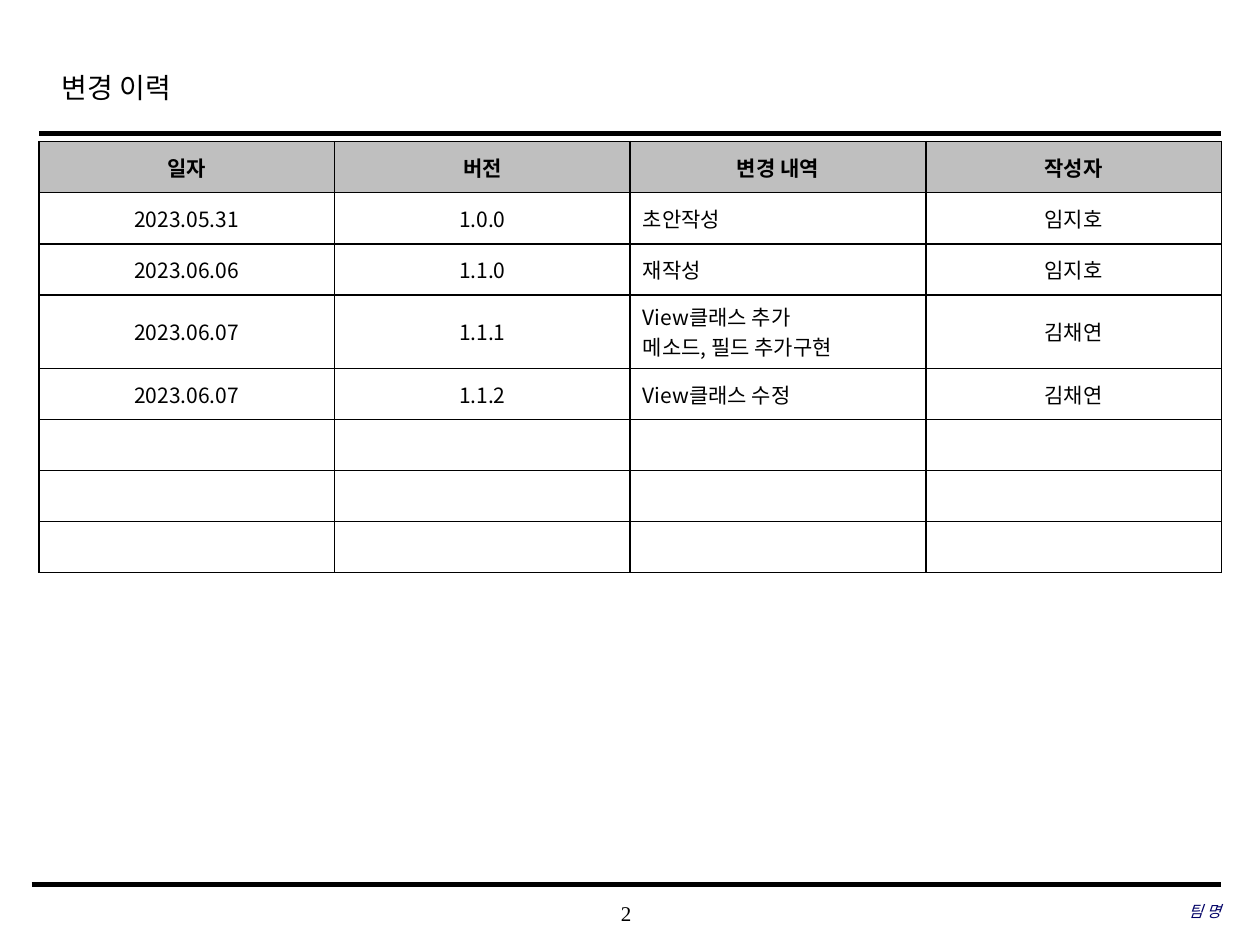
from lxml import etree
from pptx import Presentation
from pptx.dml.color import RGBColor
from pptx.enum.shapes import MSO_CONNECTOR
from pptx.enum.text import MSO_ANCHOR, MSO_AUTO_SIZE, PP_ALIGN
from pptx.oxml.ns import qn
from pptx.util import Pt

LEFT, CENTER, RIGHT = PP_ALIGN.LEFT, PP_ALIGN.CENTER, PP_ALIGN.RIGHT
TOP, MIDDLE = MSO_ANCHOR.TOP, MSO_ANCHOR.MIDDLE
NO_FIT = MSO_AUTO_SIZE.NONE
STRAIGHT = MSO_CONNECTOR.STRAIGHT

# Content
TITLE = "변경 이력"
PAGE_NUMBER = "2"
TEAM = "팀 명"
HEADINGS = ["일자", "버전", "변경 내역", "작성자"]
REVISIONS = [
    ["2023.05.31", "1.0.0", "초안작성", "임지호"],
    ["2023.06.06", "1.1.0", "재작성", "임지호"],
    ["2023.06.07", "1.1.1", "View클래스 추가\n메소드, 필드 추가구현", "김채연"],
    ["2023.06.07", "1.1.2", "View클래스 수정", "김채연"],
]
EMPTY_ROWS = 3
CHANGES_COLUMN = 2

THEME = {
    "ink": "000000", "accent": "000066", "heading_fill": "BFBFBF", "cell_fill": "FFFFFF",
    "serif": "Times New Roman", "sans": "Noto Sans CJK KR",
    "title_size": 16, "body_size": 12, "team_size": 9,
}

# Layout in points
SLIDE_SIZE = (720, 540)
TITLE_BOX = (28.08, 35.28, 543.6, 36)
TITLE_INSET = 1.4
PAGE_BOX = (282.96, 509.76, 149.76, 23.76)
TEAM_BOX = (477.36, 509.04, 220.32, 23.76)
RULES = [(22.32, 697.68, 76.32, 2.5), (18, 697.68, 505.44, 3)]  # left, right, y, weight
TABLE_LEFT, TABLE_TOP, TABLE_WIDTH = 22.2, 80.9, 675.8
ROW_HEIGHT, EXTRA_LINE = 29.2, 12.8


def color(name):
    return RGBColor.from_string(THEME[name])


def write(frame, text, *, size="body_size", font="serif", ink="ink",
          align=LEFT, bold=False, italic=False, spacing=None):
    for index, line in enumerate(text.split("\n")):
        paragraph = frame.add_paragraph() if index else frame.paragraphs[0]
        paragraph.alignment = align
        if spacing:
            paragraph.line_spacing = spacing
        run = paragraph.add_run()
        run.text = line
        run.font.size = Pt(THEME[size])
        run.font.bold, run.font.italic = bold, italic
        run.font.color.rgb = color(ink)
        run.font.name = THEME[font]
        east_asian = etree.SubElement(run.font._element, qn("a:ea"))
        east_asian.set("typeface", THEME["sans"])


def add_footer(box, text, **style):
    frame = slide.shapes.add_textbox(*map(Pt, box)).text_frame
    frame.word_wrap = True
    frame.vertical_anchor = MIDDLE
    frame.margin_left = frame.margin_right = frame.margin_top = frame.margin_bottom = 0
    write(frame, text, **style)


def add_borders(cell):
    properties = cell._tc.get_or_add_tcPr()
    for index, side in enumerate(("lnL", "lnR", "lnT", "lnB")):
        border = etree.Element(qn("a:" + side), w=str(Pt(1)))
        fill = etree.SubElement(border, qn("a:solidFill"))
        etree.SubElement(fill, qn("a:srgbClr"), val=THEME["ink"])
        properties.insert(index, border)


def row_height(row):
    return ROW_HEIGHT + EXTRA_LINE * max(text.count("\n") for text in row)


deck = Presentation()
deck.slide_width, deck.slide_height = map(Pt, SLIDE_SIZE)
slide = deck.slides.add_slide(deck.slide_layouts[5])

# Rules above and below the content
for left, right, y, weight in RULES:
    rule = slide.shapes.add_connector(STRAIGHT, Pt(left), Pt(y), Pt(right), Pt(y))
    rule.line.color.rgb = color("ink")
    rule.line.width = Pt(weight)
    etree.SubElement(rule._element.spPr, qn("a:effectLst"))

# Title
title = slide.shapes.title
title.left, title.top, title.width, title.height = map(Pt, TITLE_BOX)
title.text_frame.auto_size = NO_FIT
title.text_frame.vertical_anchor = TOP
title.text_frame.margin_top = Pt(TITLE_INSET)
write(title.text_frame, TITLE, size="title_size", spacing=1.2)

# Footer
add_footer(PAGE_BOX, PAGE_NUMBER, align=CENTER)
add_footer(TEAM_BOX, TEAM, size="team_size", ink="accent", align=RIGHT, italic=True)

# Revision table
rows = [HEADINGS] + REVISIONS + [[""] * len(HEADINGS)] * EMPTY_ROWS
history = slide.shapes.add_table(
    len(rows), len(HEADINGS), Pt(TABLE_LEFT), Pt(TABLE_TOP),
    Pt(TABLE_WIDTH), Pt(sum(map(row_height, rows)))).table
for column in history.columns:
    column.width = Pt(TABLE_WIDTH / len(HEADINGS))
for r, row in enumerate(rows):
    history.rows[r].height = Pt(row_height(row))
    heading = r == 0
    for c, text in enumerate(row):
        cell = history.cell(r, c)
        cell.vertical_anchor = MIDDLE
        cell.fill.solid()
        cell.fill.fore_color.rgb = color("heading_fill" if heading else "cell_fill")
        add_borders(cell)
        write(cell.text_frame, text, font="sans", bold=heading,
              align=LEFT if c == CHANGES_COLUMN and not heading else CENTER)

deck.save("out.pptx")
